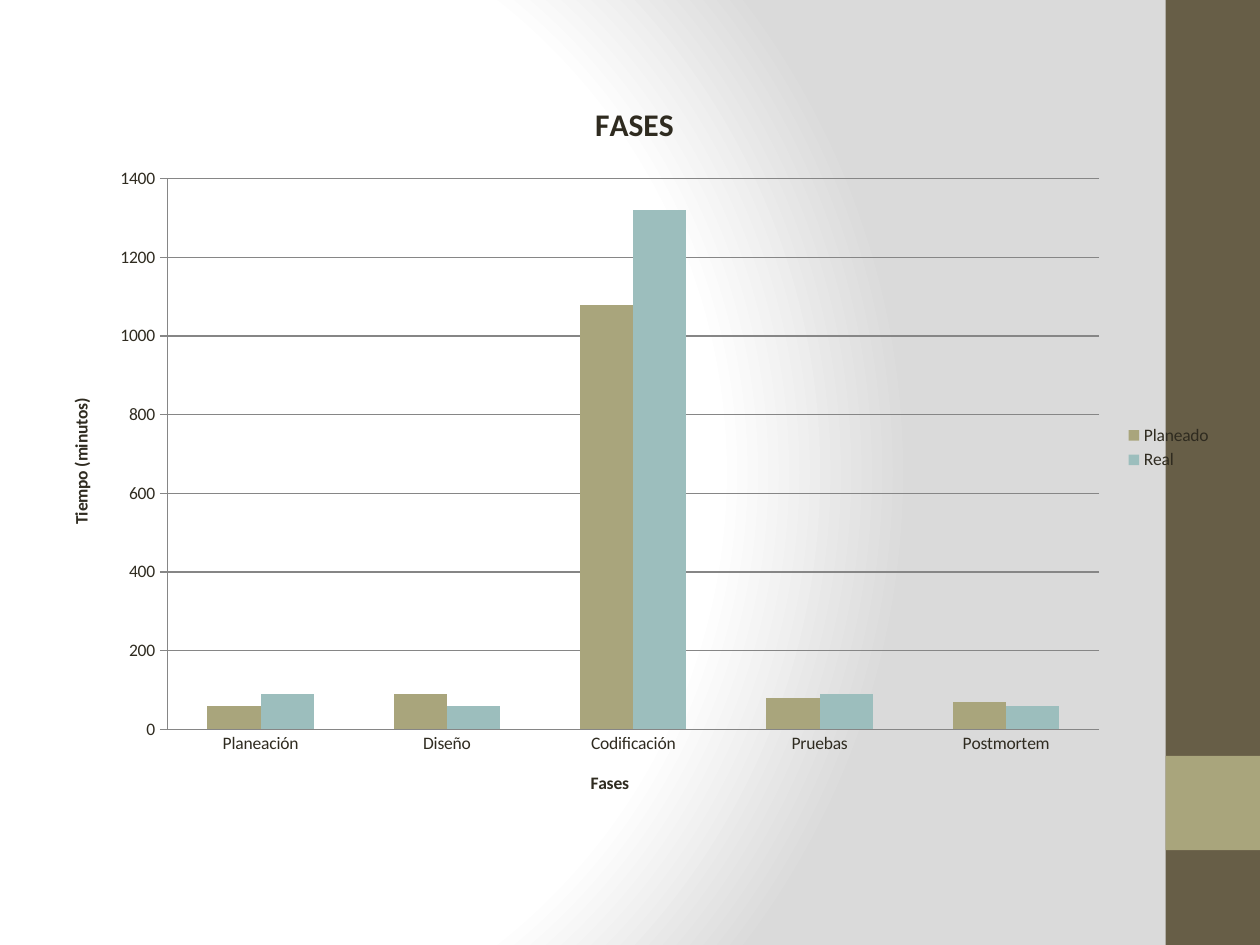
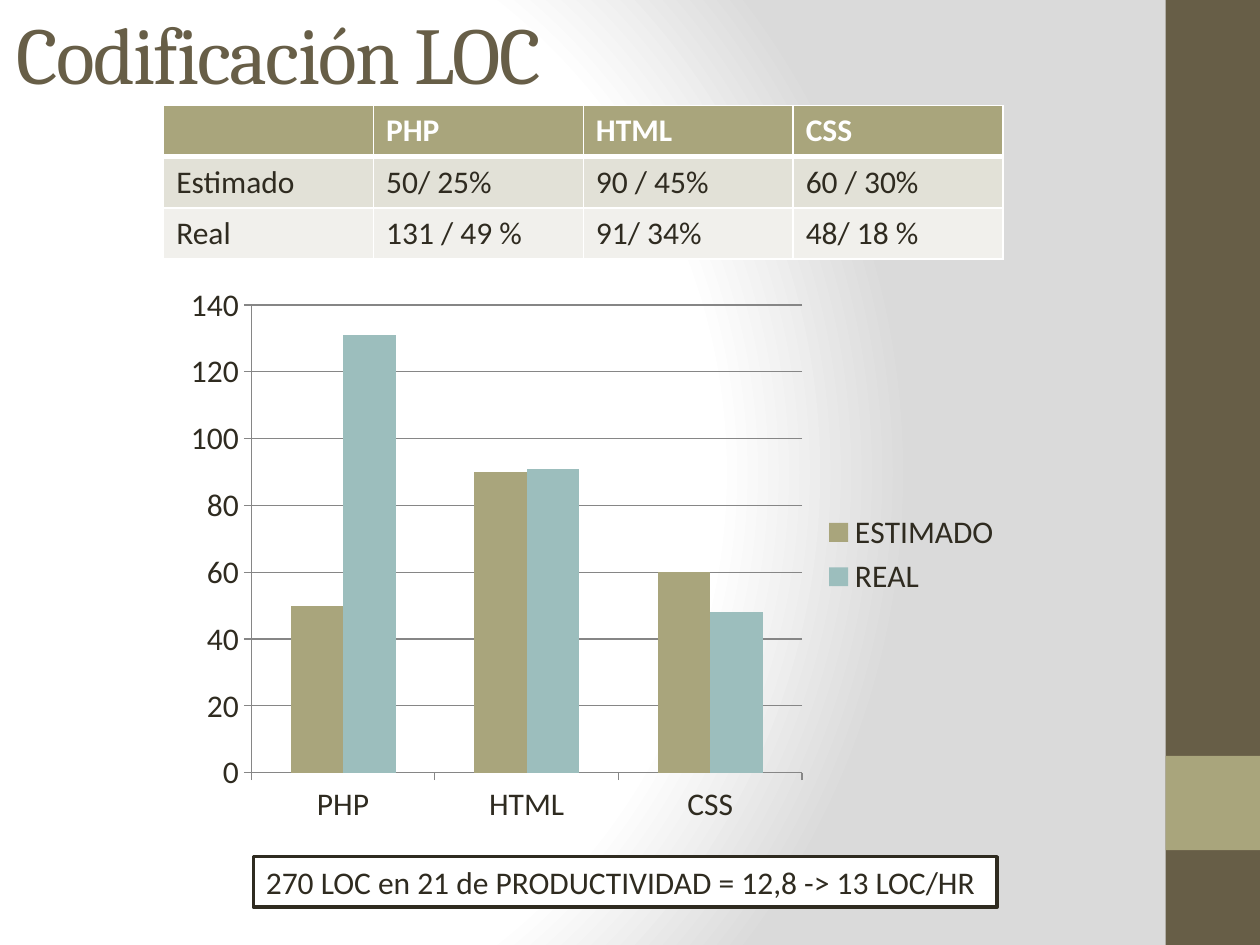
"""Build two slides comparing planned and real effort by phase and by language."""
from lxml import etree
from pptx import Presentation
from pptx.chart.data import CategoryChartData
from pptx.dml.color import RGBColor
from pptx.enum.chart import XL_CHART_TYPE, XL_LEGEND_POSITION, XL_TICK_MARK
from pptx.enum.shapes import MSO_SHAPE
from pptx.enum.text import MSO_ANCHOR, MSO_AUTO_SIZE, PP_ALIGN
from pptx.oxml import parse_xml
from pptx.oxml.ns import nsdecls, qn
from pptx.util import Cm, Pt

COLUMN = XL_CHART_TYPE.COLUMN_CLUSTERED
RIGHT = XL_LEGEND_POSITION.RIGHT
OUT, NONE = XL_TICK_MARK.OUTSIDE, XL_TICK_MARK.NONE
RECT = MSO_SHAPE.RECTANGLE
MIDDLE, LEFT = MSO_ANCHOR.MIDDLE, PP_ALIGN.LEFT
GROW = MSO_AUTO_SIZE.SHAPE_TO_FIT_TEXT

BROWN, OLIVE, TEAL = "675E47", "A9A57C", "9CBEBD"
INK, WHITE, GRAY = "2F2B20", "FFFFFF", "868686"
BODY, HEAD = "Calibri", "Cambria"
STOPS = [(0, WHITE), (75, WHITE), (100, "DADADA")]


def hue(code):
    return RGBColor.from_string(code)


def write(para, text, size, code=INK, bold=False, face=BODY):
    run = para.add_run()
    run.text = text
    run.font.size, run.font.name, run.font.bold = Pt(size), face, bold
    run.font.color.rgb = hue(code)
    return run


deck = Presentation()
deck.slide_width, deck.slide_height = Cm(25.4), Cm(19.05)

stops = "".join(
    f'<a:gs pos="{pos * 1000}"><a:srgbClr val="{code}"/></a:gs>' for pos, code in STOPS)
back = (
    f'<p:bg {nsdecls("p", "a")}><p:bgPr><a:gradFill rotWithShape="1">'
    f'<a:gsLst>{stops}</a:gsLst><a:path path="circle">'
    '<a:fillToRect l="20000" t="50000" r="100000" b="50000"/></a:path>'
    '</a:gradFill><a:effectLst/></p:bgPr></p:bg>')

phases = {
    "box": (0.89, 1.52, 23.8, 15.01), "size": 10, "tick": NONE,
    "title": "FASES", "axes": ("Fases", "Tiempo (minutos)"),
    "cats": ["Planeación", "Diseño", "Codificación", "Pruebas", "Postmortem"],
    "rows": {"Planeado": [60, 90, 1080, 80, 70], "Real": [90, 60, 1320, 90, 60]},
}
lines = {
    "box": (3.51, 5.54, 16.94, 11.28), "size": 18, "tick": OUT,
    "title": None, "axes": (None, None),
    "cats": ["PHP", "HTML", "CSS"],
    "rows": {"ESTIMADO": [50, 90, 60], "REAL": [131, 91, 48]},
}

for plan in (phases, lines):
    slide = deck.slides.add_slide(deck.slide_layouts[6])
    slide.element.cSld.insert(0, parse_xml(back))
    for top, tall, code in ((0, 19.05, BROWN), (15.24, 1.9, OLIVE)):
        band = slide.shapes.add_shape(RECT, Cm(23.5), Cm(top), Cm(1.9), Cm(tall))
        band.shadow.inherit = False
        band.fill.solid()
        band.fill.fore_color.rgb = hue(code)
        band.line.fill.background()

    data = CategoryChartData()
    data.categories = plan["cats"]
    for name, vals in plan["rows"].items():
        data.add_series(name, vals)
    box = [Cm(side) for side in plan["box"]]
    chart = slide.shapes.add_chart(COLUMN, *box, data).chart
    chart.font.size, chart.font.name = Pt(plan["size"]), BODY
    chart.font.color.rgb = hue(INK)
    chart.has_title = bool(plan["title"])
    if plan["title"]:
        write(chart.chart_title.text_frame.paragraphs[0], plan["title"], 18, bold=True)
    chart.has_legend = True
    chart.legend.position = RIGHT
    chart.legend.include_in_layout = False

    plot = chart.plots[0]
    plot.gap_width, plot.overlap, plot.vary_by_categories = 150, 0, False
    for row, code in zip(plot.series, (OLIVE, TEAL)):
        row.format.fill.solid()
        row.format.fill.fore_color.rgb = hue(code)

    chart.category_axis.major_tick_mark = plan["tick"]
    chart.value_axis.major_tick_mark = OUT
    chart.value_axis.has_major_gridlines = True
    chart.value_axis.major_gridlines.format.line.color.rgb = hue(GRAY)
    for axis, name in zip((chart.category_axis, chart.value_axis), plan["axes"]):
        axis.minor_tick_mark = NONE
        axis.format.line.color.rgb = hue(GRAY)
        axis.has_title = bool(name)
        if name:
            write(axis.axis_title.text_frame.paragraphs[0], name, 10, bold=True)

title = slide.shapes.add_textbox(Cm(0.08), Cm(0), Cm(21.16), Cm(2.13)).text_frame
title.word_wrap = True
title.vertical_anchor = MIDDLE
run = write(title.paragraphs[0], "Codificación LOC", 46, BROWN, face=HEAD)
run.font._element.set("spc", "-100")

cells = [
    ["", "PHP", "HTML", "CSS"],
    ["Estimado", "50/ 25%", "90 / 45%", "60 / 30%"],
    ["Real", "131 / 49 %", "91/ 34%", "48/ 18 %"],
]
fills = [OLIVE, "E2E1D7", "F1F0EC"]
table = slide.shapes.add_table(3, 4, Cm(3.3), Cm(2.13), Cm(16.92), Cm(3.09)).table
for r, words in enumerate(cells):
    table.rows[r].height = Cm(1.03)
    for c, word in enumerate(words):
        cell = table.cell(r, c)
        props = cell._tc.get_or_add_tcPr()
        for side in "LRTB":
            thick = (r, side) in ((0, "B"), (1, "T"))
            edge = etree.SubElement(props, qn(f"a:ln{side}"), w=str(Pt(3 if thick else 1)))
            paint = etree.SubElement(edge, qn("a:solidFill"))
            etree.SubElement(paint, qn("a:srgbClr"), val=WHITE)
        cell.fill.solid()
        cell.fill.fore_color.rgb = hue(fills[r])
        if word:
            write(cell.text_frame.paragraphs[0], word, 18, INK if r else WHITE, r == 0)

note = slide.shapes.add_shape(RECT, Cm(5.11), Cm(17.27), Cm(14.99), Cm(1.02))
note.shadow.inherit = False
note.fill.solid()
note.fill.fore_color.rgb = hue(WHITE)
note.line.color.rgb = hue(INK)
note.line.width = Pt(2)
frame = note.text_frame
frame.word_wrap = False
frame.auto_size = GROW
frame.vertical_anchor = MIDDLE
frame.paragraphs[0].alignment = LEFT
write(frame.paragraphs[0], "270 LOC en 21 de PRODUCTIVIDAD = 12,8 -> 13 LOC/HR", 18)

deck.save("out.pptx")
